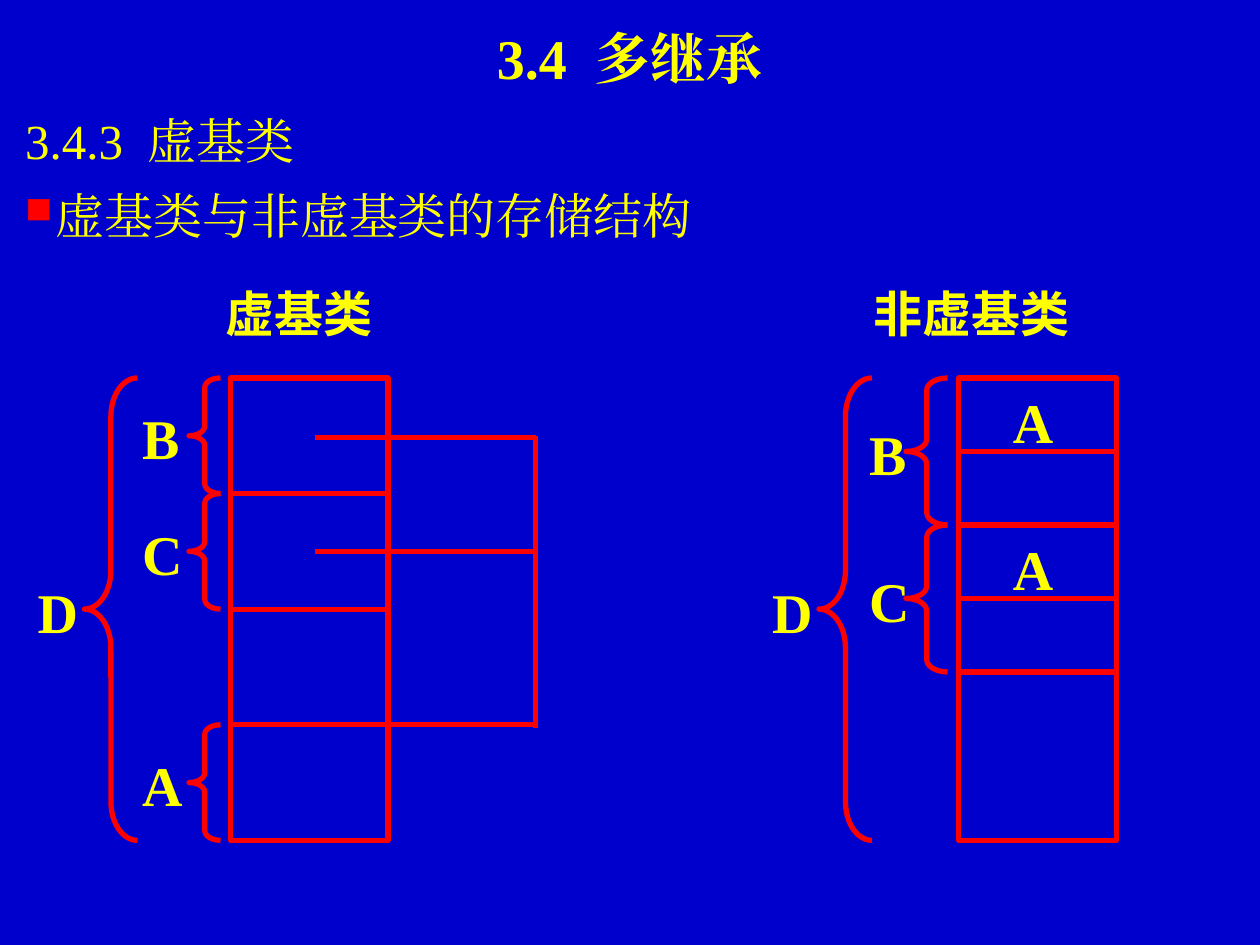
from lxml.etree import SubElement
from pptx import Presentation
from pptx.dml.color import RGBColor
from pptx.enum.shapes import MSO_CONNECTOR, MSO_SHAPE
from pptx.enum.text import MSO_ANCHOR, MSO_AUTO_SIZE, PP_ALIGN
from pptx.oxml.ns import qn
from pptx.util import Inches, Pt

COLORS = {"background": "0000CC", "text": "FFFF00", "line": "FF0000"}
SERIF, SANS = "Times New Roman", "Noto Sans CJK SC"
TOP, HEIGHT, CELL_W = 3, 3.67, 1.25


def rgb(name):
    return RGBColor.from_string(COLORS[name])


class Builder:
    def __init__(self, slide):
        self.slide = slide
        self.shapes = slide.shapes
        slide.background.fill.solid()
        slide.background.fill.fore_color.rgb = rgb("background")

    def group(self):
        """Direct the following elements into a new group."""
        self.shapes = self.slide.shapes.add_group_shape().shapes

    def outline(self, sp):
        sp.line.color.rgb = rgb("line")
        sp.line.width = Pt(3)

    def shape(self, kind, x, y, w, h):
        sp = self.shapes.add_shape(kind, Inches(x), Inches(y), Inches(w), Inches(h))
        sp.shadow.inherit = False
        sp.fill.background()
        self.outline(sp)
        return sp

    def line(self, x1, y1, x2, y2):
        cn = self.shapes.add_connector(
            MSO_CONNECTOR.STRAIGHT, Inches(x1), Inches(y1), Inches(x2), Inches(y2))
        self.outline(cn)
        SubElement(cn._element.spPr, qn("a:effectLst"))
        return cn

    def frame(self, x, y, w, h, inset=(0, 0), anchor=MSO_ANCHOR.TOP):
        tf = self.shapes.add_textbox(Inches(x), Inches(y), Inches(w), Inches(h)).text_frame
        tf.word_wrap = True
        tf.auto_size = MSO_AUTO_SIZE.SHAPE_TO_FIT_TEXT
        tf.vertical_anchor = anchor
        tf.margin_left = tf.margin_right = Inches(inset[0])
        tf.margin_top = tf.margin_bottom = Inches(inset[1])
        return tf

    def paragraph(self, p, runs, size, font=SERIF, bold=False, align=PP_ALIGN.LEFT,
                  spacing=1.0, before=0, after=0):
        p.alignment, p.line_spacing = align, spacing
        p.space_before, p.space_after = Pt(before), Pt(after)
        for text in runs:
            r = p.add_run()
            r.text = text
            r.font.size, r.font.bold, r.font.name = Pt(size), bold, font
            r.font.color.rgb = rgb("text")
            rPr = r._r.get_or_add_rPr()
            SubElement(rPr, qn("a:ea"), typeface=font)
            if text == " ":  # widen the gap after the section number
                rPr.set("spc", str(size * 25))

    def bullet(self, p, indent):
        pPr = p._p.get_or_add_pPr()
        pPr.set("marL", str(Inches(indent)))
        pPr.set("indent", str(-Inches(indent)))
        color = SubElement(pPr, qn("a:buClr"))
        SubElement(color, qn("a:srgbClr"), val=COLORS["line"])
        SubElement(pPr, qn("a:buSzPct"), val="75000")
        SubElement(pPr, qn("a:buChar"), char="■")

    def heading(self, text, x, w):
        tf = self.frame(x, 2.16, w, 0.56, anchor=MSO_ANCHOR.MIDDLE)
        self.paragraph(tf.paragraphs[0], [text], 28, SANS, True, PP_ALIGN.CENTER, 1.2, 17.5)

    def letter(self, text, x, y):
        tf = self.frame(x, y, 0.58, 0.74, (0.1, 0.05))
        self.paragraph(tf.paragraphs[0], [text], 32, bold=True, spacing=1.2, before=20)

    def brace(self, text, x, y, w, h, gap=0.47):
        sp = self.shape(MSO_SHAPE.LEFT_BRACE, x, y, w, h)
        sp.adjustments[0] = h / 12 / w
        self.letter(text, x - gap, y + h / 2 - 0.41)

    def column(self, x, step, count):
        """Draw the memory block with evenly spaced dividers."""
        block = self.shape(MSO_SHAPE.RECTANGLE, x, TOP, CELL_W, HEIGHT)
        for i in range(1, count + 1):
            y = TOP + i * step
            cn = self.line(x, y, x + CELL_W, y)
            if abs(i * step - HEIGHT / 2) < 0.01:
                cn.begin_connect(block, 1)
                cn.end_connect(block, 3)


def main():
    prs = Presentation()
    prs.slide_width, prs.slide_height = Inches(10), Inches(7.5)
    s = Builder(prs.slides.add_slide(prs.slide_layouts[6]))

    # Section and topic
    tf = s.frame(0.2, 0.76, 9.61, 1.18)
    s.paragraph(tf.paragraphs[0], ["3.4.3", " ", "虚基类"], 28, spacing=1.25, after=2)
    p = tf.add_paragraph()
    s.paragraph(p, ["虚基类与非虚基类的存储结构"], 28, before=7)
    s.bullet(p, 0.24)

    # Title and column headings
    tf = s.frame(0, 0.13, 10, 0.64, (0.1, 0.05), MSO_ANCHOR.MIDDLE)
    s.paragraph(tf.paragraphs[0], ["3.4", " ", "多继承"], 32, bold=True, align=PP_ALIGN.CENTER)
    s.heading("虚基类", 0.25, 4.25)
    s.heading("非虚基类", 5.92, 3.58)

    # Virtual base class: one shared A
    quarter = HEIGHT / 4
    s.group()
    s.column(1.83, quarter, 3)
    for text, row in (("B", 0), ("C", 1), ("A", 3)):
        s.brace(text, 1.5, TOP + row * quarter, 0.25, quarter)
    s.brace("D", 0.67, TOP, 0.42, HEIGHT)

    # References from B and C to A
    shared_y = TOP + 3 * quarter
    for y in (3.47, 4.38):
        s.line(2.5, y, 4.25, y)
    s.line(4.25, 3.46, 4.25, 5.78)
    s.line(1.83 + CELL_W, shared_y, 4.25, shared_y)

    # Non-virtual base class: A stored in both B and C
    part = 3.5 / 3
    s.group()
    s.column(7.61, part / 2, 4)
    for row, text in enumerate("BC"):
        y = TOP + row * part
        s.brace(text, 7.19, y, 0.33, part, 0.39)
        s.letter("A", 7.94, y - 0.08)
    s.brace("D", 6.5, TOP, 0.42, HEIGHT)

    prs.save("out.pptx")


if __name__ == "__main__":
    main()
